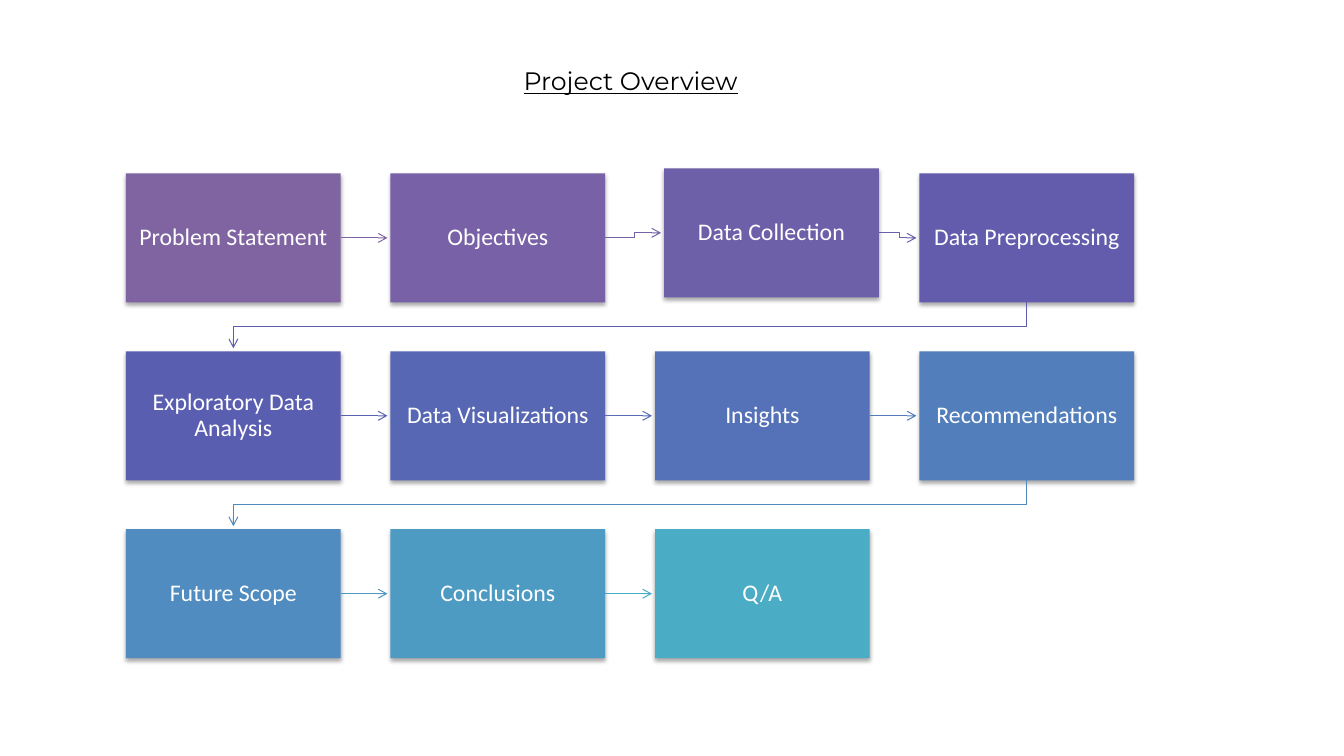
from dataclasses import dataclass

from lxml import etree
from pptx import Presentation
from pptx import util as u
from pptx.dml.color import RGBColor
from pptx.enum import shapes, text
from pptx.oxml import ns


@dataclass(frozen=True)
class Theme:
    title_font: str = "Montserrat"
    step_font: str = "Calibri"
    title_size: float = 18
    step_size: float = 17
    title_color: str = "000000"
    step_color: str = "FFFFFF"
    shadow_color: str = "000000"
    line_width: float = 0.75


THEME = Theme()
COLUMNS, ROWS = 4, 3
STEP_WIDTH, STEP_HEIGHT = u.Inches(2.13), u.Inches(1.28)
ARROW_GAP = u.Inches(0.03)
INSET = u.Inches(0.13)
NUDGES = {"Data Collection": (u.Inches(0.09), u.Inches(-0.05))}

# Step name, box colour, colour of the arrow to the next step
STEPS = [
    ("Problem Statement", "8064A2", "8064A2"),
    ("Objectives", "7861A6", "7761A6"),
    ("Data Collection", "6E5FA9", "6C5EAA"),
    ("Data Preprocessing", "635CAD", "5F5BAE"),
    ("Exploratory Data Analysis", "5A5EB1", "5961B2"),
    ("Data Visualizations", "5767B4", "566DB6"),
    ("Insights", "5572B8", "537ABA"),
    ("Recommendations", "527EBC", "5089BE"),
    ("Future Scope", "508CBF", "4E99C2"),
    ("Conclusions", "4D9BC3", "4BACC6"),
    ("Q/A", "4BACC6", None),
]


def style_font(font, name, size, color):
    font.name, font.size = name, u.Pt(size)
    font.color.rgb = RGBColor.from_string(color)


def add_title(page, left, top, width, height):
    title = page.shapes.title
    title.left, title.top, title.width, title.height = left, top, width, height
    frame = title.text_frame
    frame.text = "Project Overview"
    frame.auto_size = text.MSO_AUTO_SIZE.NONE
    frame.vertical_anchor = text.MSO_ANCHOR.MIDDLE
    para = frame.paragraphs[0]
    para.alignment = text.PP_ALIGN.CENTER
    style_font(para.font, THEME.title_font, THEME.title_size, THEME.title_color)
    para.font.underline = True


def add_soft_shadow(shape):
    shape.shadow.inherit = False
    effects = shape.element.spPr.find(ns.qn("a:effectLst"))
    shadow = etree.SubElement(effects, ns.qn("a:outerShdw"), blurRad="40000",
                              dist="23000", dir="5400000", rotWithShape="0")
    color = etree.SubElement(shadow, ns.qn("a:srgbClr"), val=THEME.shadow_color)
    etree.SubElement(color, ns.qn("a:alpha"), val="35000")


def add_step(page, name, fill, left, top):
    box = page.shapes.add_shape(shapes.MSO_SHAPE.RECTANGLE, left, top,
                                STEP_WIDTH, STEP_HEIGHT)
    box.fill.solid()
    box.fill.fore_color.rgb = RGBColor.from_string(fill)
    box.line.fill.background()
    add_soft_shadow(box)
    frame = box.text_frame
    frame.word_wrap = True
    frame.vertical_anchor = text.MSO_ANCHOR.MIDDLE
    frame.margin_left = frame.margin_right = INSET
    frame.margin_top = frame.margin_bottom = INSET
    frame.text = name
    para = frame.paragraphs[0]
    para.alignment = text.PP_ALIGN.CENTER
    para.line_spacing = 0.9
    style_font(para.font, THEME.step_font, THEME.step_size, THEME.step_color)
    return box


def style_arrow(arrow, color):
    arrow.line.color.rgb = RGBColor.from_string(color)
    arrow.line.width = u.Pt(THEME.line_width)
    properties = arrow.element.spPr
    etree.SubElement(properties.find(ns.qn("a:ln")), ns.qn("a:tailEnd"), type="arrow")
    etree.SubElement(properties, ns.qn("a:effectLst"))


def add_bent_arrow(page, points):
    builder = page.shapes.build_freeform(*points[0])
    builder.add_line_segments(points[1:], close=False)
    arrow = builder.convert_to_shape()
    arrow.fill.background()
    return arrow


def link_steps(page, source, target, color):
    """Draw an arrow to the next step: across in a row, or down to a new row."""
    right = source.left + source.width
    source_y = source.top + source.height // 2
    target_y = target.top + target.height // 2
    if target.left < source.left:
        source_x = source.left + source.width // 2
        target_x = target.left + target.width // 2
        bottom = source.top + source.height
        middle = (bottom + target.top) // 2
        arrow = add_bent_arrow(page, [(source_x, bottom), (source_x, middle),
                                      (target_x, middle),
                                      (target_x, target.top - ARROW_GAP)])
    elif source_y != target_y:
        middle = (right + target.left) // 2
        arrow = add_bent_arrow(page, [(right, source_y), (middle, source_y),
                                      (middle, target_y),
                                      (target.left - ARROW_GAP, target_y)])
    else:
        arrow = page.shapes.add_connector(shapes.MSO_CONNECTOR.STRAIGHT, right, source_y,
                                          target.left - ARROW_GAP, target_y)
        arrow.begin_connect(source, 3)
    style_arrow(arrow, color)


def add_process(page, left, top, width, height):
    column_pitch = (width - STEP_WIDTH) // (COLUMNS - 1)
    row_pitch = (height - STEP_HEIGHT) // (ROWS - 1)
    boxes = []
    for index, (name, fill, _) in enumerate(STEPS):
        row, column = divmod(index, COLUMNS)
        shift_x, shift_y = NUDGES.get(name, (0, 0))
        boxes.append(add_step(page, name, fill, left + column * column_pitch + shift_x,
                              top + row * row_pitch + shift_y))
    for source, target, (_, _, color) in zip(boxes, boxes[1:], STEPS):
        link_steps(page, source, target, color)


def main():
    deck = Presentation()
    deck.slide_width, deck.slide_height = u.Inches(13.33), u.Inches(7.5)
    page = deck.slides.add_slide(deck.slide_layouts[5])
    add_title(page, u.Inches(2.92), u.Inches(0.6), u.Inches(6.67), u.Inches(0.4))
    add_process(page, u.Inches(1.25), u.Inches(1.72), u.Inches(10), u.Inches(4.81))
    deck.save("out.pptx")


if __name__ == "__main__":
    main()
